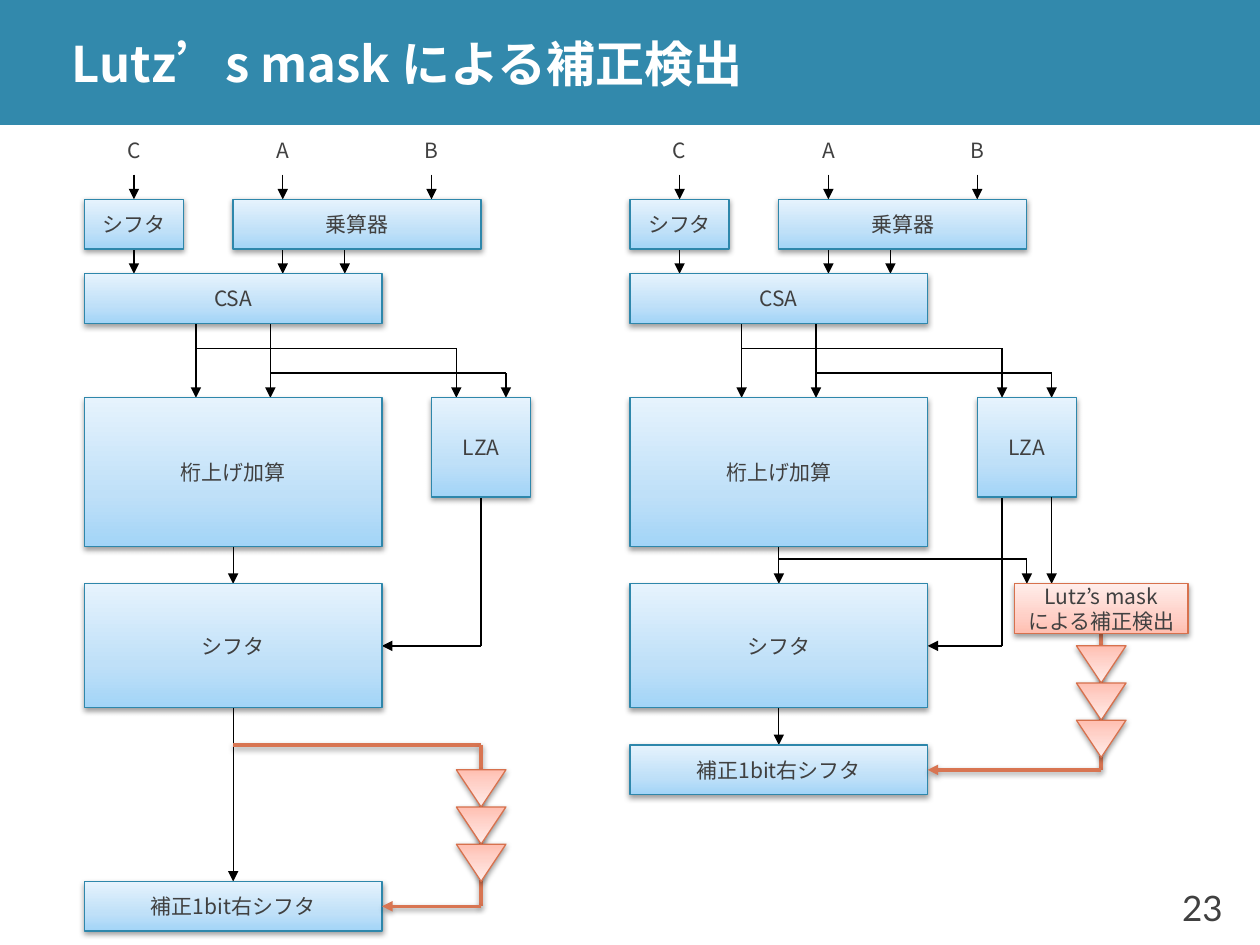
import pptx
import pptx.dml.color
import pptx.enum.shapes
import pptx.enum.text
import pptx.oxml
import pptx.oxml.ns
import pptx.util

Cm = pptx.util.Cm
Pt = pptx.util.Pt
KIND = pptx.enum.shapes.MSO_SHAPE
ALIGN = pptx.enum.text.PP_ALIGN

COLORS = {"bar": "3289AC", "title": "FFFFFF", "text": "404040",
          "wire": "000000", "fix": "D87552"}
SKINS = {
    "blue": {"line": "2E87AB", "stops": ("A2D4F7", "BFE0F8", "E6F3FD")},
    "red": {"line": "D7714D", "stops": ("FFBEB0", "FFD0C7", "FFEDEA")},
}
CJK = "Noto Sans CJK JP"
FONTS = {
    "title": {"size": Pt(28), "bold": True, "name": CJK},
    "label": {"size": Pt(12), "name": CJK},
    "number": {"size": Pt(20), "name": "Lato"},
}
XMLNS = 'xmlns:a="http://schemas.openxmlformats.org/drawingml/2006/main"'
SHADE = (f'<a:outerShdw {XMLNS} blurRad="40000" dist="20000" dir="5400000" '
         'rotWithShape="0"><a:srgbClr val="000000"><a:alpha val="38000"/>'
         '</a:srgbClr></a:outerShdw>')


def rgb(code):
    return pptx.dml.color.RGBColor.from_string(code)


def add_xml(parent, text):
    node = pptx.oxml.parse_xml(text)
    parent.append(node)
    return node


def write(shape, text, font="label", align=ALIGN.CENTER, color="text"):
    frame = shape.text_frame
    frame.word_wrap = False
    frame.vertical_anchor = pptx.enum.text.MSO_ANCHOR.MIDDLE
    frame.text = text
    for para in frame.paragraphs:
        para.alignment = align
        for run in para.runs:
            for key, value in FONTS[font].items():
                setattr(run.font, key, value)
            run.font.color.rgb = rgb(COLORS[color])
            name = FONTS[font]["name"]
            add_xml(run.font._element, f'<a:ea {XMLNS} typeface="{name}"/>')


def add_text(slide, box, text, **style):
    shape = slide.shapes.add_textbox(*map(Cm, box))
    write(shape, text, **style)
    return shape


def tint(shape, skin):
    """Give a shape its three-stop gradient, outline and soft shadow."""
    shape.fill.gradient()
    props = shape._element.spPr
    old = props.find(pptx.oxml.ns.qn("a:gradFill"))
    stops = "".join(
        f'<a:gs pos="{pos}"><a:srgbClr val="{code}"/></a:gs>'
        for pos, code in zip((0, 35000, 100000), SKINS[skin]["stops"]))
    props.replace(old, pptx.oxml.parse_xml(
        f'<a:gradFill {XMLNS} rotWithShape="1"><a:gsLst>{stops}</a:gsLst>'
        '<a:lin ang="16200000" scaled="0"/></a:gradFill>'))
    shape.line.color.rgb = rgb(SKINS[skin]["line"])
    shape.line.width = Pt(0.75)
    shape.shadow.inherit = False
    add_xml(props.find(pptx.oxml.ns.qn("a:effectLst")), SHADE)


class Panel:
    """Draws parts in cm, relative to its own top left corner."""

    def __init__(self, slide, left, top):
        self.slide, self.left, self.top = slide, left, top

    def place(self, x, y, wide, high):
        return self.left + x, self.top + y, wide, high

    def label(self, text, *box):
        add_text(self.slide, self.place(*box), text)

    def block(self, text, *box, skin="blue"):
        shape = self.slide.shapes.add_shape(
            KIND.RECTANGLE, *map(Cm, self.place(*box)))
        tint(shape, skin)
        write(shape, text)

    def wire(self, *points, head=True, color="wire", width=0.75):
        """Join points with straight lines, the last one with an arrowhead."""
        for start, end in zip(points, points[1:]):
            ends = [base + step for point in (start, end)
                    for base, step in zip((self.left, self.top), point)]
            line = self.slide.shapes.add_connector(
                pptx.enum.shapes.MSO_CONNECTOR.STRAIGHT, *map(Cm, ends))
            line.line.color.rgb = rgb(COLORS[color])
            line.line.width = Pt(width)
            props = line._element.spPr
            if head and end == points[-1]:
                add_xml(props.find(pptx.oxml.ns.qn("a:ln")),
                        f'<a:tailEnd {XMLNS} type="triangle"/>')
            glow = add_xml(props, f'<a:effectLst {XMLNS}/>')
            if color == "fix":
                add_xml(glow, SHADE)

    def delay(self, x, y):
        """Stack three downward triangles below a point."""
        for step in range(3):
            box = self.place(x - 0.5, y + 0.75 * step, 1, 0.75)
            shape = self.slide.shapes.add_shape(
                KIND.ISOSCELES_TRIANGLE, *map(Cm, box))
            shape._element.spPr.find(
                pptx.oxml.ns.qn("a:xfrm")).set("flipV", "1")
            tint(shape, "red")


def draw_core(panel, drop, last):
    """Draw the shared data path; drop is the x of the LZA output."""
    for name, x in (("C", 0), ("A", 3), ("B", 6)):
        panel.label(name, x, 0, 2, 1)
        panel.wire((x + 1, 1), (x + 1, 1.5))
    for x in (1, 4, 5.25):
        panel.wire((x, 2.5), (x, 3))
    for x, y, end in ((2.25, 4.5, 7.5), (3.75, 5, 8.5)):
        panel.wire((x, 4), (x, 5.5))
        panel.wire((x, y), (end, y), (end, 5.5))
    panel.wire((3, 8.5), (3, 9.25))
    panel.wire((drop, 7.5), (drop, 10.5), (6, 10.5))
    panel.wire((3, 11.75), (3, last))
    for name, *box in (("シフタ", 0, 1.5, 2, 1), ("乗算器", 3, 1.5, 5, 1),
                       ("CSA", 0, 3, 6, 1), ("桁上げ加算", 0, 5.5, 6, 3),
                       ("LZA", 7, 5.5, 2, 2), ("シフタ", 0, 9.25, 6, 2.5),
                       ("補正1bit右シフタ", 0, last, 6, 1)):
        panel.block(name, *box)


def draw_late(panel):
    """Draw the design that finds the fix after the shifter."""
    draw_core(panel, 8, 15.25)
    panel.wire((3, 12.5), (8, 12.5), (8, 15.75), (6, 15.75),
               color="fix", width=2)
    panel.delay(8, 13)


def draw_mask(panel):
    """Draw the design that finds the fix beside the shifter."""
    draw_core(panel, 7.5, 12.5)
    panel.wire((9.5, 10.25), (9.5, 13), (6, 13), color="fix", width=2)
    panel.wire((3, 8.75), (8, 8.75), (8, 9.25))
    panel.wire((8.5, 7.5), (8.5, 9.25))
    panel.block("Lutz’s mask\nによる補正検出", 7.75, 9.25, 3.5, 1, skin="red")
    panel.delay(9.5, 10.5)


def draw_frame(slide, wide, high):
    """Draw the title bar, title and page number."""
    bar = slide.shapes.add_shape(KIND.RECTANGLE, 0, 0, Cm(wide), Cm(high))
    bar.fill.solid()
    bar.fill.fore_color.rgb = rgb(COLORS["bar"])
    bar.line.fill.background()
    bar.shadow.inherit = False
    title = add_text(slide, (1.2, 0, wide - 1.2, high),
                     "Lutz’s mask による補正検出",
                     font="title", align=ALIGN.LEFT, color="title")
    title.text_frame.word_wrap = True
    title.text_frame.margin_top = title.text_frame.margin_bottom = 0
    add_text(slide, (23.2, 17.53, 1.7, 1.52), "23",
             font="number", align=ALIGN.RIGHT)


def main():
    deck = pptx.Presentation()
    deck.slide_width, deck.slide_height = Cm(25.4), Cm(19.05)
    slide = deck.slides.add_slide(deck.slide_layouts[6])
    top = 2.52
    draw_frame(slide, 25.4, top)
    draw_late(Panel(slide, 1.7, top))
    draw_mask(Panel(slide, 12.7, top))
    deck.save("out.pptx")


if __name__ == "__main__":
    main()
